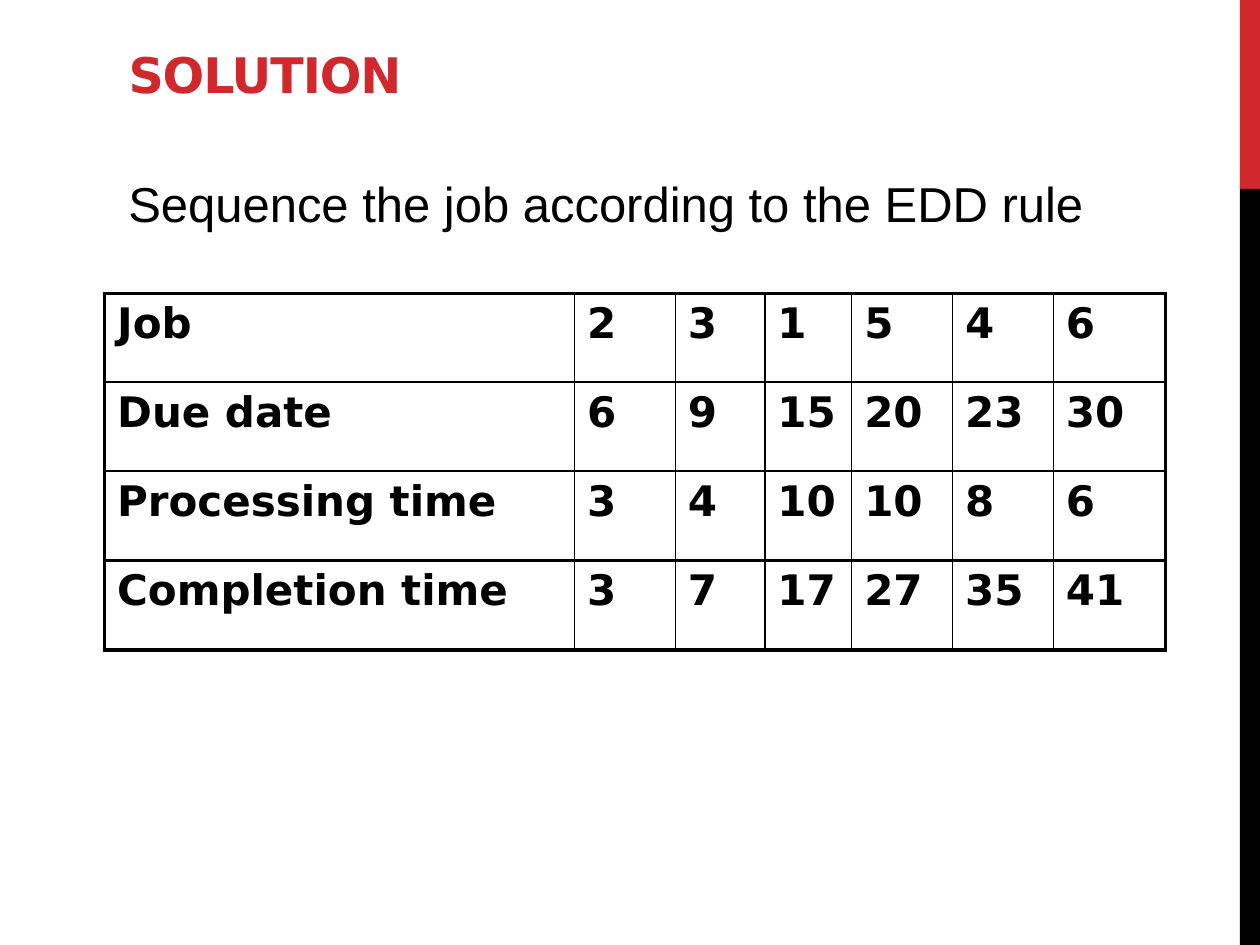
from lxml import etree
from pptx import Presentation, util as u
from pptx.dml.color import RGBColor
from pptx.enum import shapes, text
from pptx.oxml.ns import qn

RED = RGBColor(0xD1, 0x28, 0x2E)
BLACK = RGBColor(0, 0, 0)

WIDTH, HEIGHT = u.Inches(10), u.Inches(7.5)
BAR_LEFT = u.Inches(9.84)
TEXT_LEFT = u.Inches(0.92)
THIN, THICK = 1, 2.25

TITLE_FONT = {"name": "DejaVu Sans", "size": u.Pt(28), "bold": True}
LEAD_FONT = {"name": "Arial", "size": u.Pt(28), "bold": False}
CELL_FONT = {"name": "DejaVu Sans", "size": u.Pt(24), "bold": True}

COLUMN_WIDTHS = [3.73, 0.8, 0.71, 0.69, 0.8, 0.8, 0.89]
ROW_HEIGHTS = [0.7, 0.71, 0.71, 0.71]
SCHEDULE = [
    ["Job", 2, 3, 1, 5, 4, 6],
    ["Due date", 6, 9, 15, 20, 23, 30],
    ["Processing time", 3, 4, 10, 10, 8, 6],
    ["Completion time", 3, 7, 17, 27, 35, 41],
]


def write(frame, words, font_values, color):
    paragraph = frame.paragraphs[0]
    paragraph.alignment = text.PP_ALIGN.LEFT
    run = paragraph.add_run()
    run.text = words
    for key, value in font_values.items():
        setattr(run.font, key, value)
    run.font.color.rgb = color
    return run


def add_side_bar(slide, top, height, color):
    bar = slide.shapes.add_shape(shapes.MSO_SHAPE.RECTANGLE, BAR_LEFT, top,
                                 WIDTH - BAR_LEFT, height)
    bar.shadow.inherit = False
    bar.fill.solid()
    bar.fill.fore_color.rgb = color
    bar.line.fill.background()


def set_title(slide, words):
    title = slide.shapes.title
    place = {"left": TEXT_LEFT, "top": u.Inches(0.25),
             "width": u.Inches(8.08), "height": u.Inches(0.62)}
    for key, value in place.items():
        setattr(title, key, value)
    frame = title.text_frame
    frame.auto_size = text.MSO_AUTO_SIZE.NONE
    frame.vertical_anchor = text.MSO_ANCHOR.BOTTOM
    run = write(frame, words, TITLE_FONT, RED)
    run.font._element.set("spc", "-60")


def add_lead(slide, words):
    box = slide.shapes.add_textbox(TEXT_LEFT, u.Inches(1.33),
                                   u.Inches(8.67), u.Inches(0.57))
    box.text_frame.word_wrap = True
    write(box.text_frame, words, LEAD_FONT, BLACK)


def set_borders(cell, widths):
    properties = cell._tc.get_or_add_tcPr()
    for side, width in widths.items():
        line = etree.SubElement(properties, qn(f"a:ln{side}"), w=str(u.Pt(width)))
        fill = etree.SubElement(line, qn("a:solidFill"))
        etree.SubElement(fill, qn("a:srgbClr"), val=str(BLACK))


def add_schedule(slide):
    rows, columns = len(SCHEDULE), len(COLUMN_WIDTHS)
    table = slide.shapes.add_table(
        rows, columns, u.Inches(0.83), u.Inches(2.33),
        u.Inches(sum(COLUMN_WIDTHS)), u.Inches(sum(ROW_HEIGHTS))).table
    table.first_row = table.horz_banding = False
    for column, width in zip(table.columns, COLUMN_WIDTHS):
        column.width = u.Inches(width)
    for row, height in zip(table.rows, ROW_HEIGHTS):
        row.height = u.Inches(height)

    # Thick frame, and a thick rule above the completion times
    thick_rules = {0, rows - 1, rows}
    for r, values in enumerate(SCHEDULE):
        for c, value in enumerate(values):
            cell = table.cell(r, c)
            write(cell.text_frame, str(value), CELL_FONT, BLACK)
            set_borders(cell, {
                "L": THICK if c == 0 else THIN,
                "R": THICK if c == columns - 1 else THIN,
                "T": THICK if r in thick_rules else THIN,
                "B": THICK if r + 1 in thick_rules else THIN,
            })
            cell.fill.background()


def main():
    deck = Presentation()
    deck.slide_width, deck.slide_height = WIDTH, HEIGHT
    slide = deck.slides.add_slide(deck.slide_layouts.get_by_name("Title Only"))

    # Side bar: red top fifth, black below
    red_height = HEIGHT // 5
    add_side_bar(slide, 0, red_height, RED)
    add_side_bar(slide, red_height, HEIGHT - red_height, BLACK)

    # Content
    set_title(slide, "SOLUTION")
    add_schedule(slide)
    add_lead(slide, "Sequence the job according to the EDD rule")

    deck.save("out.pptx")


if __name__ == "__main__":
    main()
